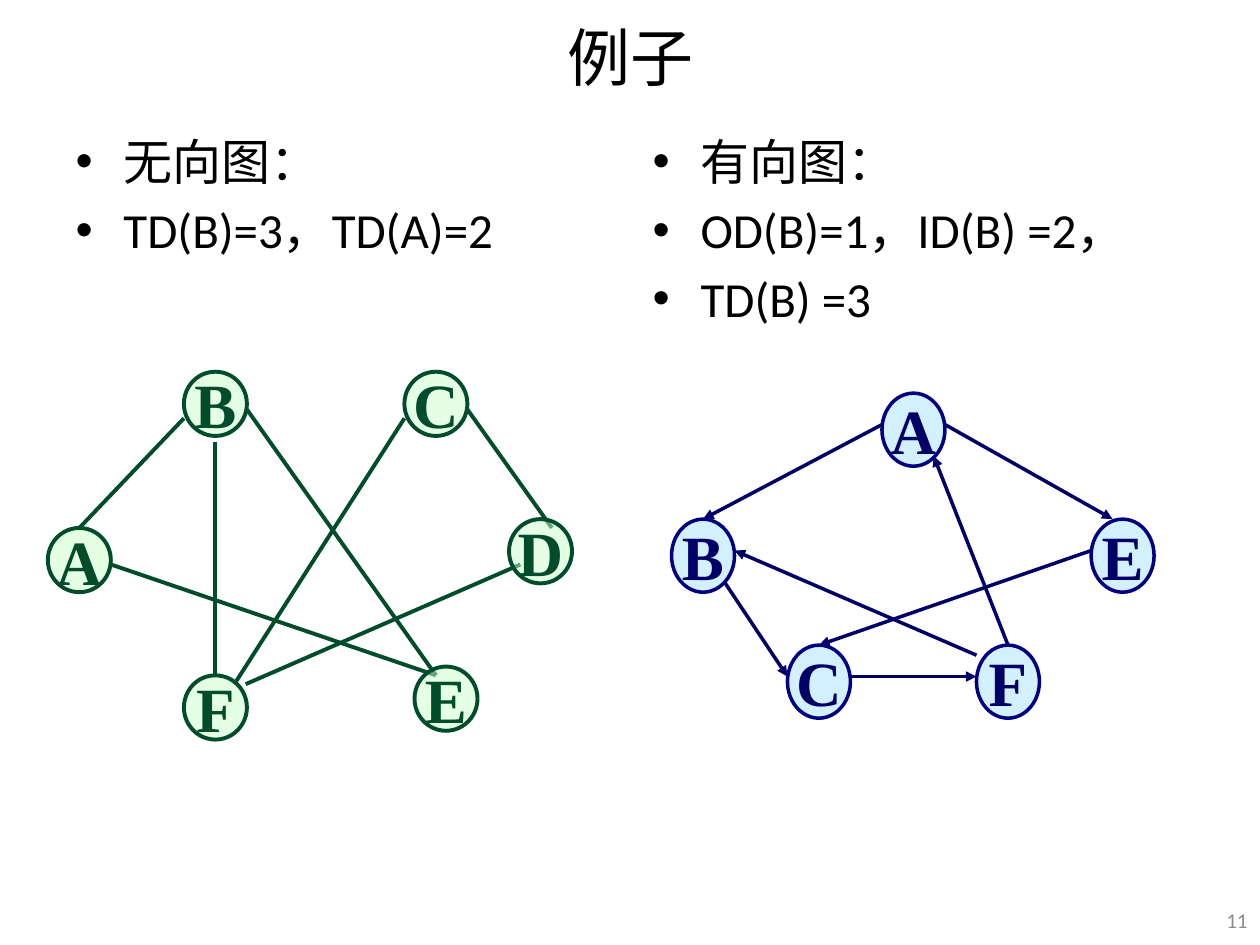
from pptx import Presentation
from pptx import util as u
from pptx.dml.color import RGBColor
from pptx.enum import shapes, text
from pptx.oxml.ns import qn
from lxml import etree

BLACK = RGBColor(0x00, 0x00, 0x00)
GREY = RGBColor(0x8C, 0x8C, 0x8C)
GREEN = RGBColor(0x00, 0x4C, 0x2B)
PALE_GREEN = RGBColor(0xCC, 0xFF, 0xCC)
NAVY = RGBColor(0x00, 0x00, 0x66)
NODE_NAVY = RGBColor(0x00, 0x00, 0x80)
PALE_BLUE = RGBColor(0xA7, 0xE2, 0xFF)

NODE_WIDTH = 0.5

# Node positions are left and top; edges run from point to point
UNDIRECTED = {
    "nodes": {"A": (0.38, 4.19), "C": (3.21, 2.95), "D": (4.04, 4.12),
              "F": (1.46, 5.36), "E": (3.29, 5.29), "B": (1.46, 2.95)},
    "edges": [((1.46, 3.32), (0.63, 4.19)), ((1.96, 3.25), (3.46, 5.36)),
              ((0.88, 4.48), (3.46, 5.36)), ((3.21, 3.32), (1.86, 5.43)),
              ((3.71, 3.25), (4.38, 4.19)), ((4.13, 4.48), (1.95, 5.43)),
              ((1.71, 3.51), (1.71, 5.36))],
    "height": 0.51, "fill": PALE_GREEN, "outline": GREEN, "ink": GREEN,
    "weight": 2.25, "directed": False,
}
DIRECTED = {
    "nodes": {"A": (7, 3.12), "B": (5.33, 4.12), "E": (8.66, 4.12),
              "C": (6.25, 5.12), "F": (7.75, 5.12)},
    "edges": [((7, 3.37), (5.58, 4.12)), ((5.75, 4.62), (6.25, 5.37)),
              ((6.75, 5.37), (7.75, 5.37)), ((8, 5.12), (7.41, 3.62)),
              ((7.5, 3.37), (8.83, 4.12)), ((7.75, 5.2), (5.83, 4.37)),
              ((8.66, 4.37), (6.5, 5.12))],
    "height": 0.58, "fill": PALE_BLUE, "outline": NODE_NAVY, "ink": NAVY,
    "weight": 2, "directed": True,
}


def place(box, left, top, width, height):
    box.left, box.top = u.Inches(left), u.Inches(top)
    box.width, box.height = u.Inches(width), u.Inches(height)


def add_span(para, words, size, color, font="Calibri", bold=False):
    span = para.add_run()
    span.text = words
    span.font.name = font
    span.font.size = u.Pt(size)
    span.font.bold = bold
    span.font.color.rgb = color


def fill_title(box, words):
    place(box, 0.5, 0.05, 9, 0.79)
    box.text_frame.vertical_anchor = text.MSO_ANCHOR.MIDDLE
    para = box.text_frame.paragraphs[0]
    para.alignment = text.PP_ALIGN.CENTER
    add_span(para, words, 36, BLACK)


def fill_list(box, left, items):
    place(box, left, 0.99, 4.42, 6.38)
    frame = box.text_frame
    frame.auto_size = text.MSO_AUTO_SIZE.NONE
    for index, item in enumerate(items):
        para = frame.add_paragraph() if index else frame.paragraphs[0]
        para.space_before = u.Pt(5.6 if index else 0)
        props = para._p.get_or_add_pPr()
        props.set("marL", str(u.Inches(0.38)))
        props.set("indent", str(-u.Inches(0.38)))
        etree.SubElement(props, qn("a:buFont"), typeface="Arial")
        etree.SubElement(props, qn("a:buChar"), char="•")
        add_span(para, item, 28, BLACK)


def add_page_number(page, number):
    box = page.shapes.add_textbox(u.Inches(9.57), u.Inches(7.1),
                                  u.Inches(0.43), u.Inches(0.4))
    frame = box.text_frame
    frame.word_wrap = True
    frame.vertical_anchor = text.MSO_ANCHOR.MIDDLE
    # The box is narrow, so the side margins are small
    frame.margin_left = frame.margin_right = u.Inches(0.1)
    para = frame.paragraphs[0]
    para.alignment = text.PP_ALIGN.RIGHT
    add_span(para, number, 12, GREY)


def add_edge(group, start, end, graph):
    points = [u.Inches(value) for value in (*start, *end)]
    edge = group.shapes.add_connector(shapes.MSO_CONNECTOR.STRAIGHT, *points)
    edge.line.color.rgb = graph["ink"]
    edge.line.width = u.Pt(graph["weight"])
    if graph["directed"]:
        etree.SubElement(edge.line._get_or_add_ln(), qn("a:tailEnd"),
                         type="triangle")
    etree.SubElement(edge._element.spPr, qn("a:effectLst"))


def add_node(group, letter, left, top, graph):
    node = group.shapes.add_shape(
        shapes.MSO_SHAPE.OVAL, u.Inches(left), u.Inches(top),
        u.Inches(NODE_WIDTH), u.Inches(graph["height"]))
    node.shadow.inherit = False
    node.fill.solid()
    node.fill.fore_color.rgb = graph["fill"]
    # Half-transparent fill
    color = node._element.spPr.find(qn("a:solidFill"))[0]
    etree.SubElement(color, qn("a:alpha"), val="50000")
    node.line.color.rgb = graph["outline"]
    node.line.width = u.Pt(graph["weight"])
    frame = node.text_frame
    frame.word_wrap = False
    frame.vertical_anchor = text.MSO_ANCHOR.MIDDLE
    para = frame.paragraphs[0]
    para.alignment = text.PP_ALIGN.CENTER
    add_span(para, letter, 36, graph["ink"], "Times New Roman", True)


def add_graph(page, graph):
    group = page.shapes.add_group_shape()
    for start, end in graph["edges"]:
        add_edge(group, start, end, graph)
    for letter, (left, top) in graph["nodes"].items():
        add_node(group, letter, left, top, graph)


def main():
    deck = Presentation()
    deck.slide_width, deck.slide_height = u.Inches(10), u.Inches(7.5)
    page = deck.slides.add_slide(deck.slide_layouts[3])

    # Title and the two lists
    fill_title(page.shapes.title, "例子")
    fill_list(page.placeholders[1], 0.5, ["无向图：", "TD(B)=3，TD(A)=2"])
    fill_list(page.placeholders[2], 5.08,
              ["有向图：", "OD(B)=1，ID(B) =2，", "TD(B) =3"])
    add_page_number(page, "11")

    # Undirected graph on the left, directed graph on the right
    for graph in (UNDIRECTED, DIRECTED):
        add_graph(page, graph)

    deck.save("out.pptx")


if __name__ == "__main__":
    main()
